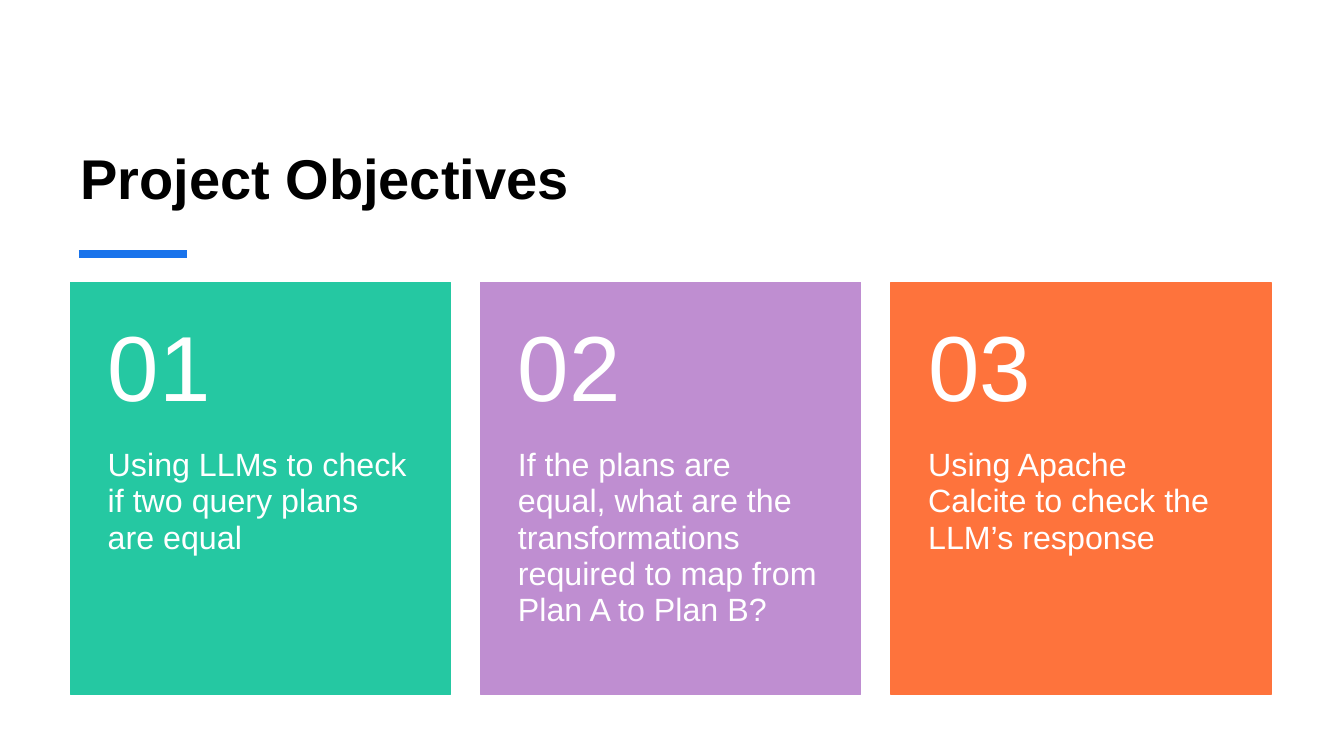
import pptx
import pptx.dml.color
import pptx.enum.shapes
import pptx.enum.text
import pptx.util
from lxml import etree

Pt = pptx.util.Pt
Anchor = pptx.enum.text.MSO_ANCHOR
DRAWING = "http://schemas.openxmlformats.org/drawingml/2006/main"


def color(value):
    return pptx.dml.color.RGBColor.from_string(value)


class SlideBuilder:
    font_name = "Arial"

    def __init__(self, page):
        self.page = page

    def set_text(self, shape, text, size, ink, insets, anchor, spacing=1.0, bold=False):
        """Fill a shape with one paragraph; insets run left, top, right, bottom."""
        frame = shape.text_frame
        frame.word_wrap = True
        frame.vertical_anchor = anchor
        frame.margin_left, frame.margin_top, frame.margin_right, frame.margin_bottom = map(Pt, insets)
        paragraph = frame.paragraphs[0]
        paragraph.text = text
        paragraph.alignment = pptx.enum.text.PP_ALIGN.LEFT
        paragraph.line_spacing = spacing
        font = paragraph.font
        font.name, font.size, font.bold = self.font_name, Pt(size), bold
        font.color.rgb = color(ink)

    def text_box(self, left, top, width, height, *text_style, **options):
        box = self.page.shapes.add_textbox(Pt(left), Pt(top), Pt(width), Pt(height))
        self.set_text(box, *text_style, **options)

    def panel(self, left, top, width, height, fill):
        shape = self.page.shapes.add_shape(
            pptx.enum.shapes.MSO_SHAPE.RECTANGLE, Pt(left), Pt(top), Pt(width), Pt(height))
        shape.shadow.inherit = False
        shape.fill.solid()
        shape.fill.fore_color.rgb = color(fill)
        shape.line.color.rgb = color(fill)
        shape.line.width = Pt(1)
        return shape

    def rule(self, left, right, y, ink, weight):
        line = self.page.shapes.add_connector(
            pptx.enum.shapes.MSO_CONNECTOR.STRAIGHT, Pt(left), Pt(y), Pt(right), Pt(y))
        line.line.color.rgb = color(ink)
        line.line.width = Pt(weight)
        etree.SubElement(line._element.spPr, f"{{{DRAWING}}}effectLst")

    def card(self, left, number, text, fill):
        top, width, height, header = 201.6, 271.4, 294.5, 118
        panel = self.panel(left, top, width, height, fill)
        self.set_text(panel, text, 23, "FFFFFF", (26.6, header, 26.6, 26), Anchor.TOP, spacing=0.94)
        self.text_box(left, top, width, header, f"{number:02d}", 66, "FFFFFF",
                      (26.6, 13, 26.6, 13), Anchor.MIDDLE)


def main():
    deck = pptx.Presentation()
    deck.slide_width, deck.slide_height = Pt(960), Pt(540)
    builder = SlideBuilder(deck.slides.add_slide(deck.slide_layouts[6]))

    left, pitch = 50.4, 293
    builder.text_box(left, 44.6, 857.5, 109.4, "Project Objectives", 40, "000000",
                     (7.2, 3.6, 7.2, 3.6), Anchor.BOTTOM, bold=True)
    builder.rule(56.4, 133.4, 181.6, "1973EB", 6)

    objectives = [
        ("Using LLMs to check if two query plans are equal", "25C8A2"),
        ("If the plans are equal, what are the transformations required "
         "to map from Plan A to Plan B?", "BF8ED1"),
        ("Using Apache Calcite to check the LLM’s response", "FE733C"),
    ]
    for index, (text, fill) in enumerate(objectives):
        builder.card(left + index * pitch, index + 1, text, fill)

    deck.save("out.pptx")


if __name__ == "__main__":
    main()
